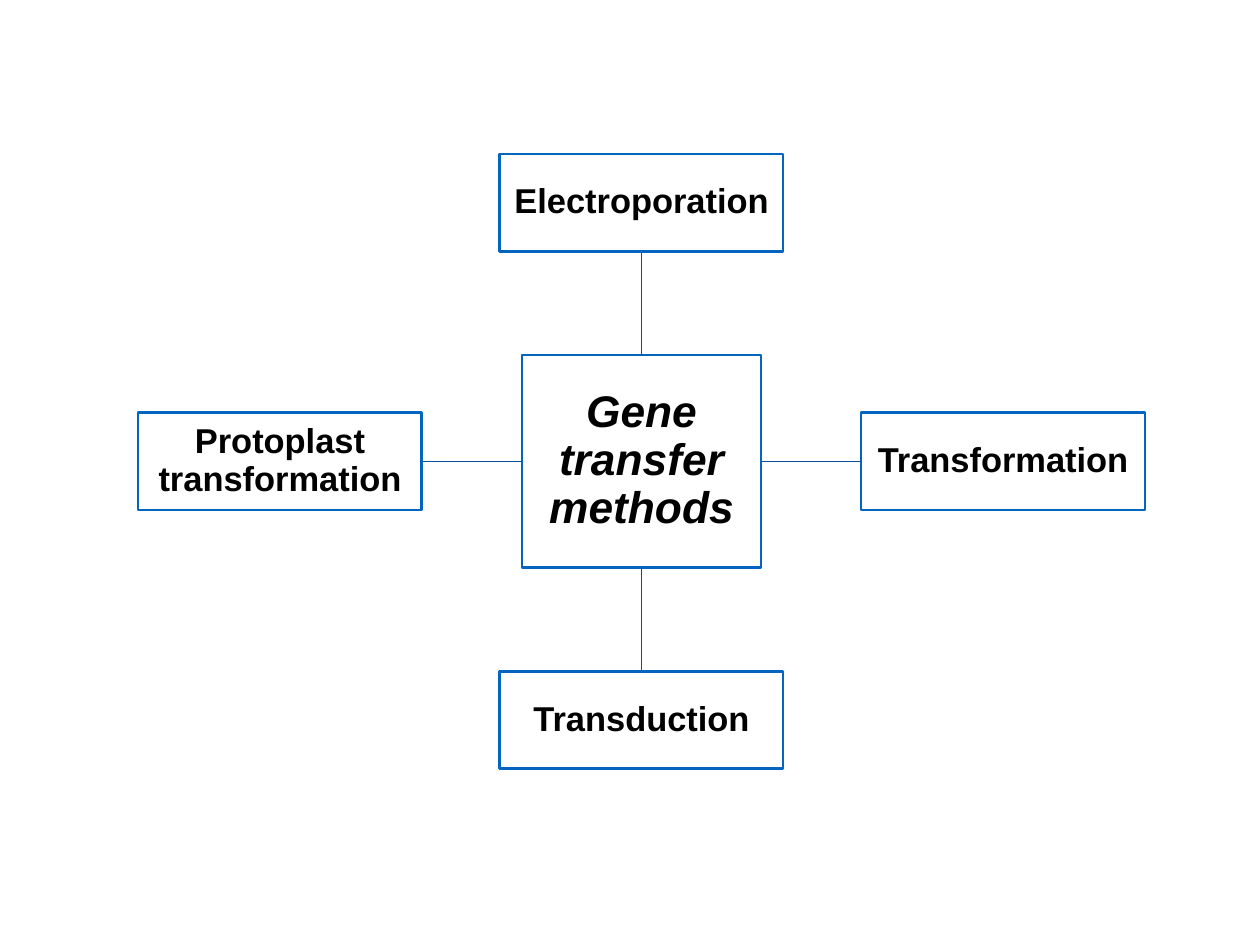
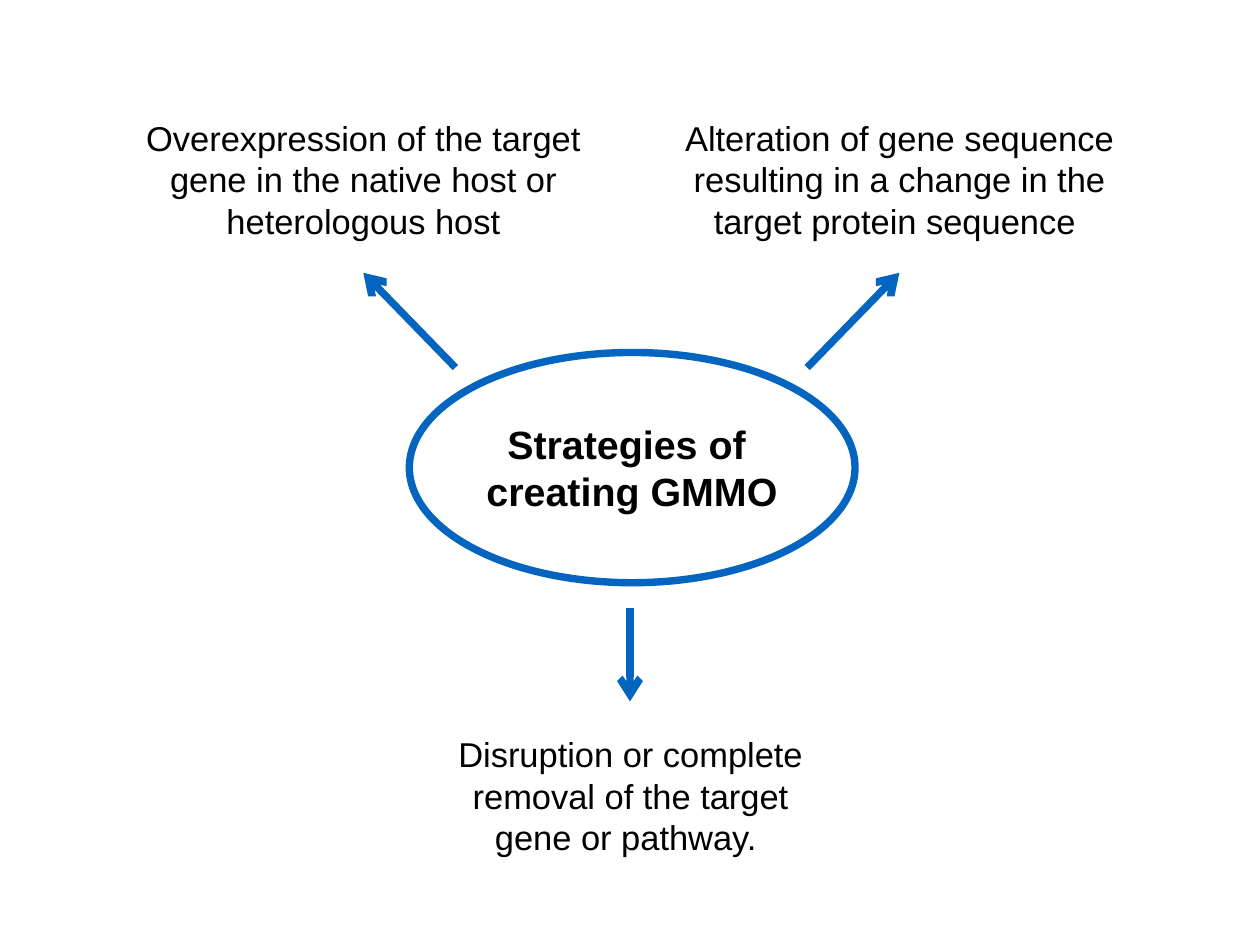
"""Build two slides: gene transfer methods and strategies of creating GMMO."""
import pptx
import pptx.util
import pptx.dml.color
import pptx.enum.shapes
import pptx.enum.text
import pptx.oxml.ns
import lxml.etree

Inches = pptx.util.Inches
Pt = pptx.util.Pt
RGBColor = pptx.dml.color.RGBColor
Shapes = pptx.enum.shapes.MSO_SHAPE
Anchor = pptx.enum.text.MSO_ANCHOR

BLUE = RGBColor(0x03, 0x65, 0xC0)
DARK_BLUE = RGBColor(0x02, 0x51, 0x9A)
WHITE = RGBColor(0xFF, 0xFF, 0xFF)
BLACK = RGBColor(0, 0, 0)
FONT = "Arial"
TOP, LEFT, BOTTOM, RIGHT = range(4)

HUB_TEXT = "Gene transfer methods"
HUB_CENTRE = (7.24, 5.21)
HUB_SIZE = (2.7, 2.4)
METHOD_SIZE = (3.2, 1.1)
REACH = (4.08, 2.92)
METHODS = [
    ("Electroporation", 0, -1, TOP, BOTTOM),
    ("Transformation", 1, 0, RIGHT, LEFT),
    ("Transduction", 0, 1, BOTTOM, TOP),
    ("Protoplast transformation", -1, 0, LEFT, RIGHT),
]

CORE_LINES = ["Strategies of ", "creating GMMO"]
CORE_PLACE = (4.62, 3.98, 5.03, 2.6)
STRATEGIES = [
    ("Overexpression of the target gene in the native host or heterologous host",
     (1.52, 1.27, 5.16, 1.51), (5.14, 4.15, 4.1, 3.08)),
    ("Disruption or complete removal of the target gene or pathway. ",
     (4.76, 8.23, 4.71, 1.51), (7.11, 6.86, 7.11, 7.92)),
    ("Alteration of gene sequence resulting in a change in the target protein sequence ",
     (7.57, 1.27, 5.16, 1.51), (9.11, 4.15, 10.15, 3.08)),
]


def write(shape, lines, size=28, bold=False, italic=False, spacing=None,
          anchor=Anchor.MIDDLE, margins=(0.02, 0.02)):
    frame = shape.text_frame
    frame.word_wrap = True
    frame.vertical_anchor = anchor
    frame.margin_left = frame.margin_right = Inches(margins[0])
    frame.margin_top = frame.margin_bottom = Inches(margins[1])
    for index, line in enumerate(lines):
        para = frame.add_paragraph() if index else frame.paragraphs[0]
        para.alignment = pptx.enum.text.PP_ALIGN.CENTER
        para.line_spacing = spacing
        span = para.add_run()
        span.text = line
        span.font.name = FONT
        span.font.size = Pt(size)
        span.font.bold = bold
        span.font.italic = italic
        span.font.color.rgb = BLACK


def add_outlined(page, kind, place, width):
    shape = page.shapes.add_shape(kind, *map(Inches, place))
    shape.shadow.inherit = False
    shape.fill.solid()
    shape.fill.fore_color.rgb = WHITE
    shape.line.color.rgb = BLUE
    shape.line.width = Pt(width)
    return shape


def add_line(page, ends, color, width, arrow=False):
    line = page.shapes.add_connector(
        pptx.enum.shapes.MSO_CONNECTOR.STRAIGHT, *map(Inches, ends))
    line.line.color.rgb = color
    line.line.width = Pt(width)
    qn = pptx.oxml.ns.qn
    properties = line.element.find(qn("p:spPr"))
    if arrow:
        outline = properties.find(qn("a:ln"))
        lxml.etree.SubElement(outline, qn("a:tailEnd"), type="arrow")
    lxml.etree.SubElement(properties, qn("a:effectLst"))
    return line


def add_centred_box(page, centre, size):
    corner = [middle - length / 2 for middle, length in zip(centre, size)]
    return add_outlined(page, Shapes.RECTANGLE, (*corner, *size), 2)


def build_methods(page):
    hub = add_centred_box(page, HUB_CENTRE, HUB_SIZE)
    write(hub, [HUB_TEXT], size=36, bold=True, italic=True, spacing=0.9,
          margins=(0.03, 0.03))
    for text, across, down, hub_side, box_side in METHODS:
        centre = (HUB_CENTRE[0] + across * REACH[0],
                  HUB_CENTRE[1] + down * REACH[1])
        box = add_centred_box(page, centre, METHOD_SIZE)
        write(box, [text], bold=True, spacing=0.9)
        link = add_line(page, (*HUB_CENTRE, *centre), DARK_BLUE, 0.75)
        link.begin_connect(hub, hub_side)
        link.end_connect(box, box_side)


def build_strategies(page):
    core = add_outlined(page, Shapes.OVAL, CORE_PLACE, 6)
    write(core, CORE_LINES, size=32, bold=True, margins=(0.06, 0.06))
    for text, place, ends in STRATEGIES:
        add_line(page, ends, BLUE, 6, arrow=True)
        box = page.shapes.add_textbox(*map(Inches, place))
        write(box, [text], anchor=Anchor.TOP, margins=(0.1, 0.05))


def main():
    deck = pptx.Presentation()
    deck.slide_width = Inches(14.22)
    deck.slide_height = Inches(10.67)
    for build in (build_methods, build_strategies):
        build(deck.slides.add_slide(deck.slide_layouts[6]))
    deck.save("out.pptx")


if __name__ == "__main__":
    main()
